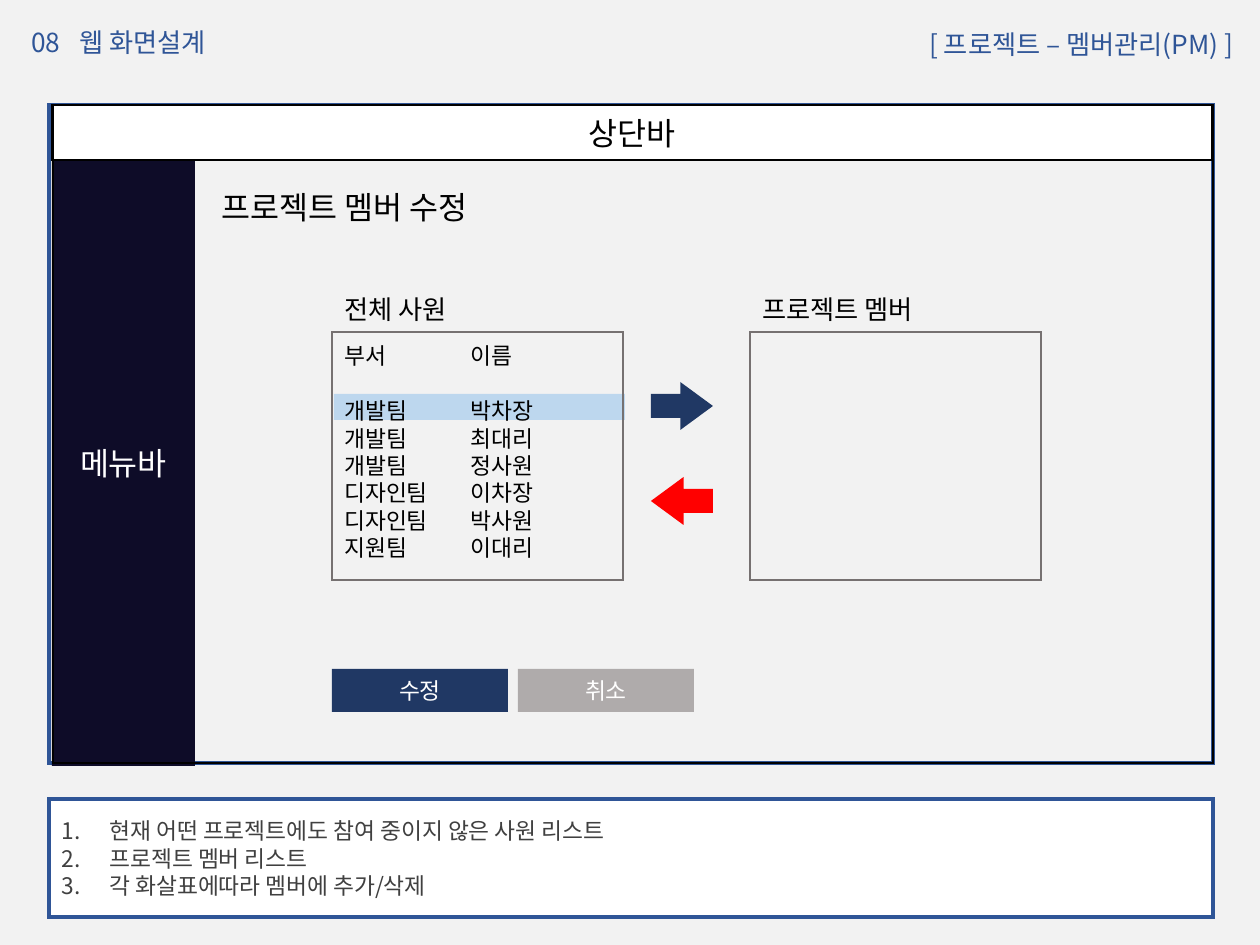
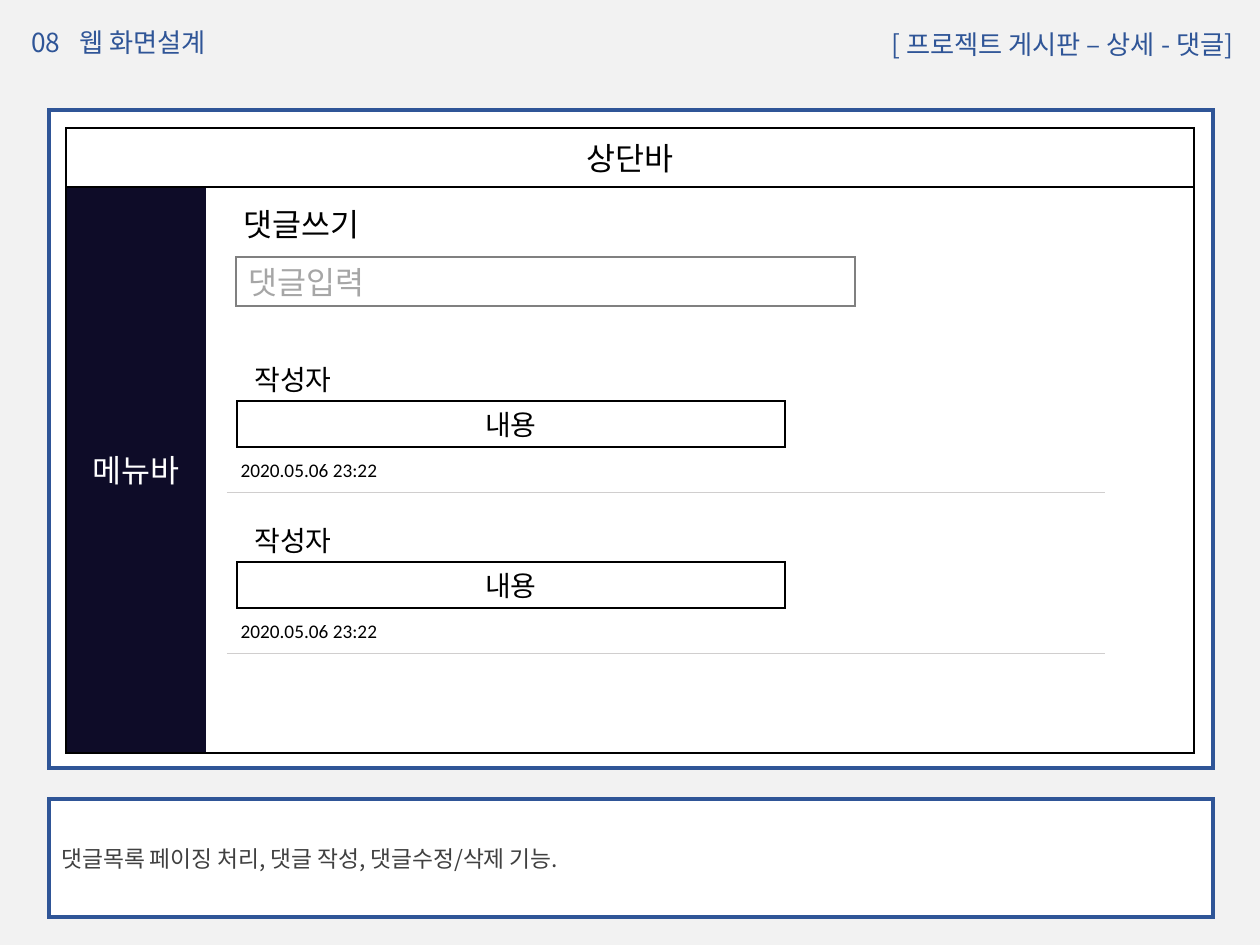
from lxml.etree import SubElement
from pptx import Presentation
from pptx.dml.color import RGBColor
from pptx.enum.shapes import MSO_CONNECTOR, MSO_SHAPE as Shape
from pptx.enum.text import MSO_ANCHOR as Anchor, MSO_AUTO_SIZE as AutoSize, PP_ALIGN as Align
from pptx.oxml.ns import qn
from pptx.util import Emu, Pt

PX = 914400 / 126
KOREAN_FONT = "Noto Sans CJK KR"
LATIN_FONT = "Calibri"

WHITE = RGBColor(0xFF, 0xFF, 0xFF)
BLACK = RGBColor(0x00, 0x00, 0x00)
BACKDROP = RGBColor(0xF2, 0xF2, 0xF2)
BLUE = RGBColor(0x2F, 0x55, 0x97)
NAVY = RGBColor(0x20, 0x38, 0x64)
MENU_INK = RGBColor(0x0E, 0x0C, 0x28)
NOTE_GRAY = RGBColor(0x40, 0x40, 0x40)
SELECTED = RGBColor(0xBD, 0xD7, 0xEE)
LIST_EDGE = RGBColor(0x76, 0x71, 0x71)
RED = RGBColor(0xFF, 0x00, 0x00)
CANCEL_GRAY = RGBColor(0xAF, 0xAB, 0xAB)
INPUT_EDGE = RGBColor(0x80, 0x80, 0x80)
HINT_GRAY = RGBColor(0xA6, 0xA6, 0xA6)
DIVIDER = RGBColor(0xD0, 0xCE, 0xCE)

NUMBER_INDENT = 48
SECTION_TAB = 48
NAME_TAB = 126


def px(length):
    return Emu(round(length * PX))


def set_all(target, values):
    for attribute, value in values.items():
        setattr(target, attribute, value)


def place(shape, area):
    set_all(shape, dict(zip(("left", "top", "width", "height"), map(px, area))))


def write(shape, lines, size, color, align=Align.LEFT, anchor=Anchor.MIDDLE, font=KOREAN_FONT):
    frame = shape.text_frame
    set_all(frame, {"word_wrap": True, "auto_size": AutoSize.NONE, "vertical_anchor": anchor})
    for index, line in enumerate(lines):
        paragraph = frame.paragraphs[0] if index == 0 else frame.add_paragraph()
        paragraph.alignment = align
        run = paragraph.add_run()
        run.text = line
        run.font.color.rgb = color
        set_all(run.font, {"size": Pt(size), "name": font})
        SubElement(run.font._element, qn("a:ea"), typeface=KOREAN_FONT)
    return frame.paragraphs


def panel(slide, area, fill=None, edge=None, weight=1, kind=Shape.RECTANGLE):
    shape = slide.shapes.add_shape(kind, *map(px, area))
    shape.shadow.inherit = False
    if fill is None:
        shape.fill.background()
    else:
        shape.fill.solid()
        shape.fill.fore_color.rgb = fill
    if edge is None:
        shape.line.fill.background()
    else:
        shape.line.color.rgb = edge
        shape.line.width = Pt(weight)
        SubElement(shape.line._ln, qn("a:miter"), lim="800000")
    return shape


def label(slide, area, lines, size, color=BLACK, **style):
    return write(slide.shapes.add_textbox(*map(px, area)), lines, size, color, **style)


def set_tab(paragraphs, position):
    for paragraph in paragraphs:
        tabs = SubElement(paragraph._p.get_or_add_pPr(), qn("a:tabLst"))
        SubElement(tabs, qn("a:tab"), pos=str(px(position)), algn="l")


def divider(slide, left, right, y):
    line = slide.shapes.add_connector(MSO_CONNECTOR.STRAIGHT, px(left), px(y), px(right), px(y))
    line.line.color.rgb = DIVIDER
    line.line.width = Pt(0.5)
    SubElement(line._element.spPr, qn("a:effectLst"))


def arrow(slide, y, fill, points_left=False):
    shape = panel(slide, (651, y, 62, 48), fill, kind=Shape.RIGHT_ARROW)
    shape.adjustments[1] = 0.68
    if points_left:
        shape._element.spPr.get_or_add_xfrm().set("flipH", "1")


def start_screen(deck, screen_name, notes):
    slide = deck.slides.add_slide(deck.slide_layouts[5])
    slide.background.fill.solid()
    slide.background.fill.fore_color.rgb = BACKDROP
    place(slide.shapes.title, (742, 22, 504, 44))
    write(slide.shapes.title, [screen_name], 15, BLUE, Align.RIGHT, Anchor.TOP)
    section = label(slide, (19, 20, 370, 44), ["08\t웹 화면설계"], 15, BLUE, anchor=Anchor.TOP)
    set_tab(section, SECTION_TAB)
    note_box = panel(slide, (49, 799, 1164, 118), WHITE, BLUE, 2.25)
    return slide, write(note_box, notes, 13, NOTE_GRAY)


def number(paragraphs):
    for paragraph in paragraphs:
        properties = paragraph._p.get_or_add_pPr()
        properties.set("marL", str(px(NUMBER_INDENT)))
        properties.set("indent", str(-px(NUMBER_INDENT)))
        SubElement(properties, qn("a:buFont"), typeface="+mj-lt")
        SubElement(properties, qn("a:buAutoNum"), type="arabicPeriod")


def browser(slide, menu_area, bar_area, frame_area, font):
    write(panel(slide, menu_area, MENU_INK), ["메뉴바"], 18, WHITE, Align.CENTER, font=font)
    write(panel(slide, bar_area, WHITE, BLACK), ["상단바"], 18, BLACK, Align.CENTER, font=font)
    panel(slide, frame_area, edge=BLACK)


def member_list(slide, left, caption):
    panel(slide, (left, 332, 291, 248), edge=LIST_EDGE)
    label(slide, (left, 287, 291, 44), [caption], 15, anchor=Anchor.TOP)


def member_screen(deck):
    slide, notes = start_screen(deck, "[ 프로젝트 – 멤버관리(PM) ]", [
        "현재 어떤 프로젝트에도 참여 중이지 않은 사원 리스트",
        "프로젝트 멤버 리스트",
        "각 화살표에따라 멤버에 추가/삭제",
    ])
    number(notes)
    panel(slide, (49, 105, 1164, 658), edge=BLUE, weight=2.25)
    browser(slide, (52, 160, 143, 606), (52, 105, 1160, 55), (53, 105, 1160, 658), KOREAN_FONT)
    label(slide, (209, 182, 418, 50), ["프로젝트 멤버 수정"], 18, anchor=Anchor.TOP)

    panel(slide, (334, 394, 291, 26), SELECTED)
    staff = [
        ("부서", "이름"),
        ("개발팀", "박차장"),
        ("개발팀", "최대리"),
        ("개발팀", "정사원"),
        ("디자인팀", "이차장"),
        ("디자인팀", "박사원"),
        ("지원팀", "이대리"),
    ]
    rows = label(slide, (332, 336, 291, 233), ["\t".join(row) for row in staff], 13,
                 anchor=Anchor.TOP)
    rows[0].space_after = Pt(15.7)
    set_tab(rows, NAME_TAB)
    for left, caption in ((332, "전체 사원"), (750, "프로젝트 멤버")):
        member_list(slide, left, caption)

    arrow(slide, 382, NAVY)
    arrow(slide, 477, RED, points_left=True)
    for left, caption, fill in ((332, "수정", NAVY), (518, "취소", CANCEL_GRAY)):
        button = panel(slide, (left, 669, 176, 43), fill)
        write(button, [caption], 13, WHITE, Align.CENTER)


def comment(slide, top):
    style = {"align": Align.CENTER, "font": LATIN_FONT}
    label(slide, (226, top, 134, 47), ["작성자"], 16, **style)
    label(slide, (226, top + 90, 166, 47), ["2020.05.06 23:22"], 11, **style)
    body = panel(slide, (237, top + 45, 548, 46), WHITE, BLACK)
    write(body, ["내용"], 16, BLACK, **style)
    divider(slide, 227, 1105, top + 136)


def comment_screen(deck):
    slide, _ = start_screen(deck, "[ 프로젝트 게시판 – 상세 - 댓글]",
                            ["댓글목록 페이징 처리, 댓글 작성, 댓글수정/삭제 기능."])
    panel(slide, (49, 110, 1164, 658), WHITE, BLUE, 2.25)
    browser(slide, (66, 187, 140, 566), (66, 128, 1128, 59), (66, 128, 1128, 625), LATIN_FONT)
    label(slide, (226, 200, 151, 47), ["댓글쓰기"], 18, align=Align.CENTER, font=LATIN_FONT)
    comment_input = panel(slide, (236, 257, 619, 49), WHITE, INPUT_EDGE)
    write(comment_input, ["댓글입력"], 18, HINT_GRAY, font=LATIN_FONT)
    for index in range(2):
        comment(slide, 356 + 161 * index)


def main():
    deck = Presentation()
    set_all(deck, {"slide_width": px(1260), "slide_height": px(945)})
    member_screen(deck)
    comment_screen(deck)
    deck.save("out.pptx")


if __name__ == "__main__":
    main()
